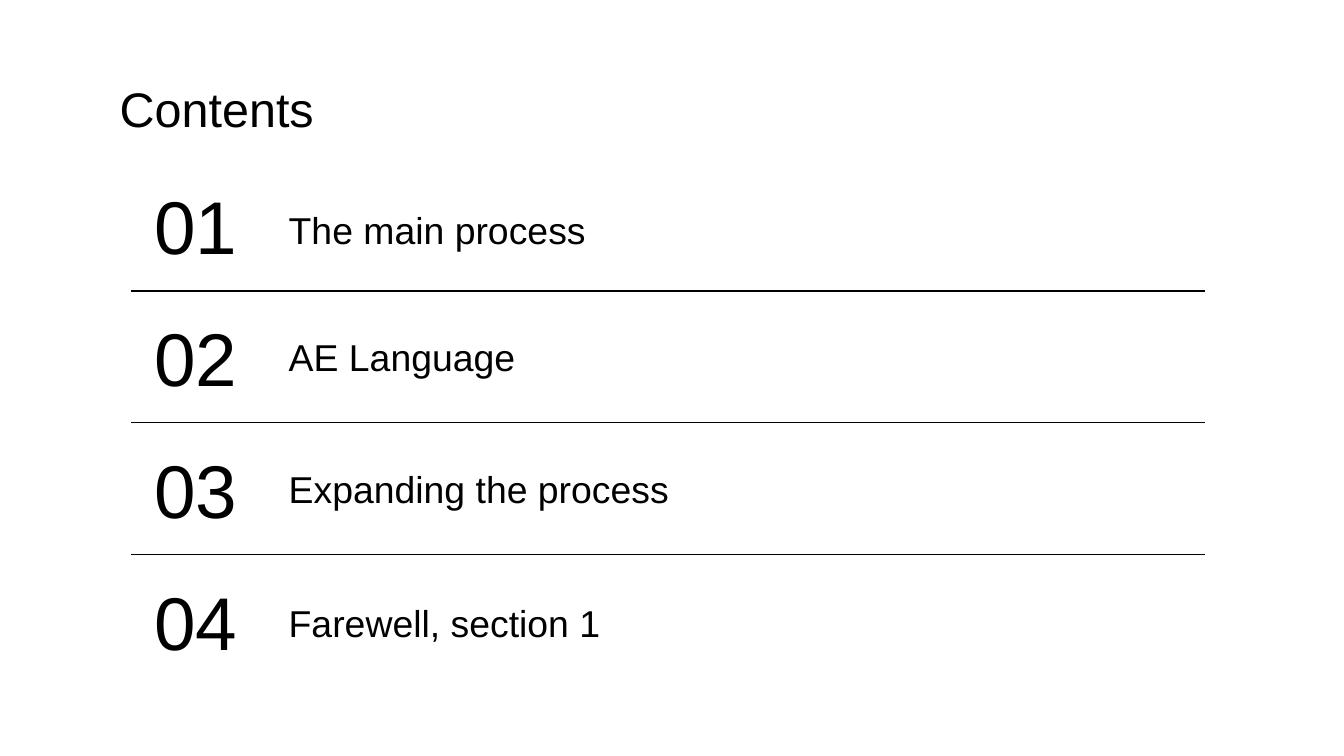
from collections import namedtuple

from pptx import Presentation
from pptx import util as u
from pptx.dml.color import RGBColor
from pptx.enum import shapes, text
from pptx.oxml.ns import qn
from lxml import etree

SCALE = 4572
BLACK = "000000"
WHITE = "FFFFFF"

Box = namedtuple("Box", "left top width height")
Section = namedtuple("Section", "name label_top label_width")

SECTIONS = [
    Section("The main process", 46, 848),
    Section("AE Language", 40, 1262),
    Section("Expanding the process", 40, 848),
    Section("Farewell, section 1", 44, 848),
]


def px(length):
    return u.Emu(length * SCALE)


def color(hex_code):
    return RGBColor.from_string(hex_code)


def place(shape, box):
    shape.left, shape.top, shape.width, shape.height = map(px, box)


def write(shape, words, size=20, align=text.PP_ALIGN.LEFT,
          anchor=text.MSO_ANCHOR.MIDDLE, font="Arial", fill=BLACK):
    frame = shape.text_frame
    frame.word_wrap = True
    frame.auto_size = text.MSO_AUTO_SIZE.NONE
    frame.vertical_anchor = anchor
    frame.margin_left = frame.margin_right = px(20)
    frame.margin_top = frame.margin_bottom = px(20)
    para = frame.paragraphs[0]
    para.alignment = align
    span = para.add_run()
    span.text = words
    span.font.name = font
    span.font.size = u.Pt(size)
    span.font.color.rgb = color(fill)


def add_text(page, box, words, **style):
    shape = page.shapes.add_textbox(*map(px, box))
    write(shape, words, **style)


def add_rule(page, left, top, width):
    rule = page.shapes.add_connector(
        shapes.MSO_CONNECTOR.STRAIGHT,
        px(left), px(top), px(left + width), px(top))
    rule.line.color.rgb = color(BLACK)
    rule.line.width = u.Pt(0.75)
    etree.SubElement(rule._element.spPr, qn("a:effectLst"))


def add_heading(page, box, words):
    title = page.shapes.title
    place(title, box)
    write(title, words, size=26, anchor=text.MSO_ANCHOR.TOP)


def add_section(page, box, number, section):
    add_text(page, Box(box.left + 11, box.top, 170, 166), f"{number:02}",
             size=40, align=text.PP_ALIGN.CENTER)
    label = Box(box.left + 215, box.top + section.label_top,
                section.label_width, 86)
    add_text(page, label, section.name)


def add_contents(page, box, sections):
    pitch = box.height // len(sections)
    for index, section in enumerate(sections):
        row = Box(box.left, box.top + index * pitch, box.width, pitch)
        add_section(page, row, index + 1, section)
        if index < len(sections) - 1:
            add_rule(page, row.left, row.top + 181, row.width)


def main():
    deck = Presentation()
    deck.slide_width, deck.slide_height = px(2000), px(1125)
    page = deck.slides.add_slide(deck.slide_layouts.get_by_name("Title Only"))
    page.background.fill.solid()
    page.background.fill.fore_color.rgb = color(WHITE)
    add_heading(page, Box(158, 98, 1686, 126), "Contents")
    add_contents(page, Box(195, 252, 1598, 784), SECTIONS)
    deck.save("out.pptx")


if __name__ == "__main__":
    main()
